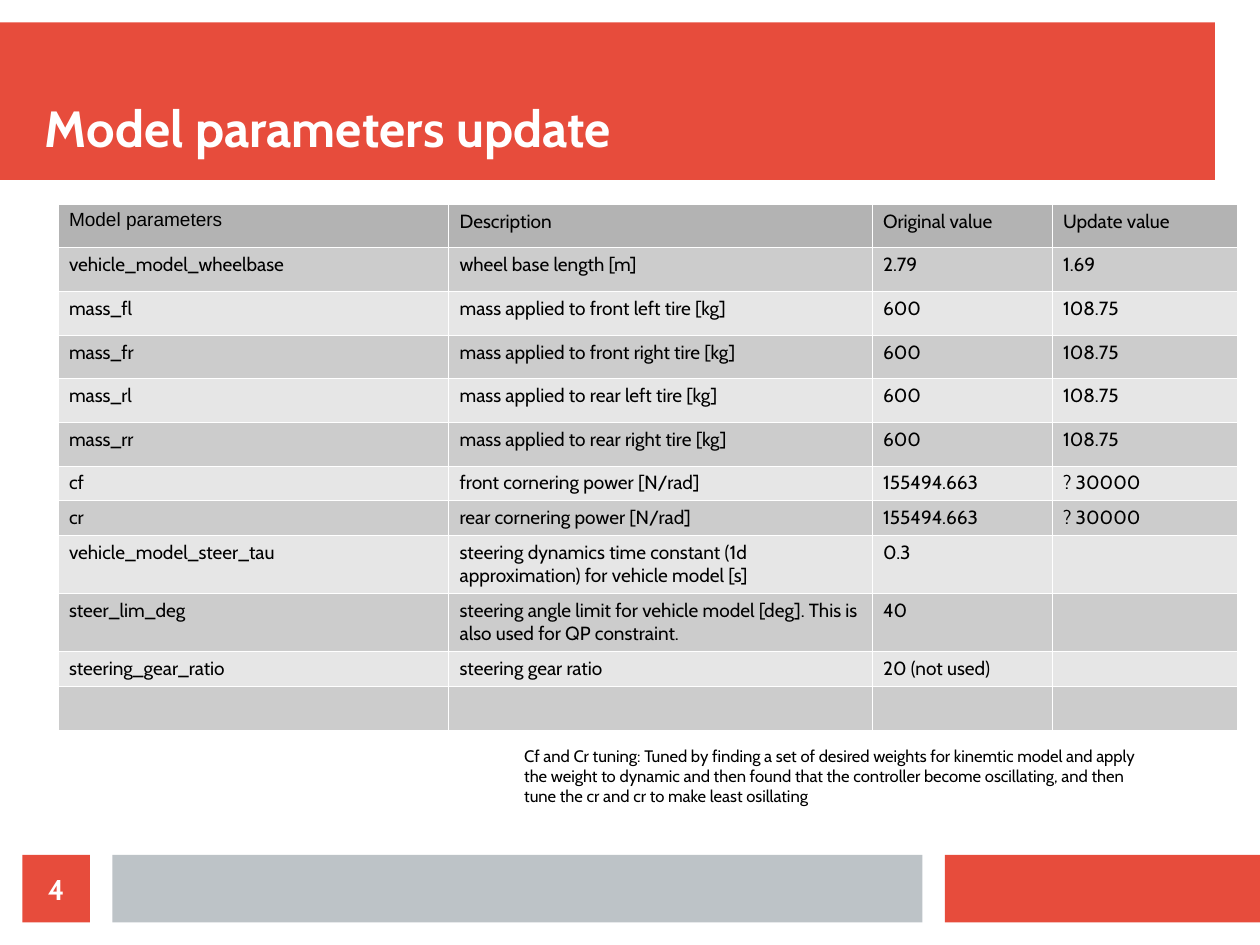
import dataclasses

import lxml.etree
import pptx
import pptx.dml.color
import pptx.enum.shapes
import pptx.enum.text
import pptx.oxml.ns
import pptx.util

Cm = pptx.util.Cm
Pt = pptx.util.Pt
RGBColor = pptx.dml.color.RGBColor
Alignment = pptx.enum.text.PP_ALIGN
Anchor = pptx.enum.text.MSO_ANCHOR
qn = pptx.oxml.ns.qn


@dataclasses.dataclass(frozen=True)
class Theme:
    red: str = "E74C3C"
    grey: str = "BDC3C7"
    header: str = "B3B3B3"
    odd_row: str = "CCCCCC"
    even_row: str = "E6E6E6"
    white: str = "FFFFFF"
    black: str = "000000"
    font: str = "Cabin"
    header_font: str = "Arial"
    title_size: float = 32
    number_size: float = 18
    table_size: float = 12
    note_size: float = 10.5


theme = Theme()


def add_text(paragraph, text, size, color, bold=False, font=theme.font):
    run = paragraph.add_run()
    run.text = text
    run.font.name = font
    run.font.size = Pt(size)
    run.font.bold = bold
    run.font.color.rgb = RGBColor.from_string(color)


def add_bar(left, top, width, height, color):
    bar = slide.shapes.add_shape(
        pptx.enum.shapes.MSO_SHAPE.RECTANGLE, Cm(left), Cm(top), Cm(width), Cm(height)
    )
    bar.shadow.inherit = False
    bar.fill.solid()
    bar.fill.fore_color.rgb = RGBColor.from_string(color)
    bar.line.fill.background()
    return bar


presentation = pptx.Presentation()
presentation.slide_width = Cm(28)
presentation.slide_height = Cm(21)
slide = presentation.slides.add_slide(presentation.slide_layouts[5])

add_bar(0, 0.5, 27, 3.5, theme.red)
add_bar(21, 19, 7, 1.5, theme.red)
add_bar(2.5, 19, 18, 1.5, theme.grey)
number_box = add_bar(0.5, 19, 1.5, 1.5, theme.red)

title = slide.shapes.title
title.left, title.top, title.width, title.height = Cm(1), Cm(1), Cm(26), Cm(2.5)
slide.shapes._spTree.append(title._element)
title.text_frame.auto_size = pptx.enum.text.MSO_AUTO_SIZE.NONE

for shape, anchor, alignment, text, size in [
    (title, Anchor.BOTTOM, Alignment.LEFT, "Model parameters update", theme.title_size),
    (number_box, Anchor.MIDDLE, Alignment.CENTER, "4", theme.number_size),
]:
    frame = shape.text_frame
    frame.margin_left = frame.margin_right = frame.margin_top = frame.margin_bottom = 0
    frame.vertical_anchor = anchor
    frame.paragraphs[0].alignment = alignment
    add_text(frame.paragraphs[0], text, size, theme.white, bold=True)

tall, short, double = 0.97, 0.74, 1.22
parameter_rows = [
    (tall, "Model parameters", "Description", "Original value", "Update value"),
    (tall, "vehicle_model_wheelbase", "wheel base length [m]", "2.79", "1.69"),
    (tall, "mass_fl", "mass applied to front left tire [kg]", "600", "108.75"),
    (tall, "mass_fr", "mass applied to front right tire [kg]", "600", "108.75"),
    (tall, "mass_rl", "mass applied to rear left tire [kg]", "600", "108.75"),
    (tall, "mass_rr", "mass applied to rear right tire [kg]", "600", "108.75"),
    (short, "cf", "front cornering power [N/rad]", "155494.663", "? 30000"),
    (short, "cr", "rear cornering power [N/rad]", "155494.663", "? 30000"),
    (double, "vehicle_model_steer_tau",
     "steering dynamics time constant (1d approximation) for vehicle model [s]", "0.3", ""),
    (double, "steer_lim_deg",
     "steering angle limit for vehicle model [deg]. This is also used for QP constraint.",
     "40", ""),
    (short, "steering_gear_ratio", "steering gear ratio", "20 (not used)", ""),
    (tall, "", "", "", ""),
]
column_widths = [8.68, 9.41, 4, 4.11]

table = slide.shapes.add_table(
    len(parameter_rows), len(column_widths), Cm(1.28), Cm(4.53),
    Cm(sum(column_widths)), Cm(sum(row[0] for row in parameter_rows)),
).table
for column, width in zip(table.columns, column_widths):
    column.width = Cm(width)

for row_index, (height, *texts) in enumerate(parameter_rows):
    table.rows[row_index].height = Cm(height)
    fill_color = theme.odd_row if row_index % 2 else theme.even_row
    if row_index == 0:
        fill_color = theme.header
    for column_index, text in enumerate(texts):
        cell = table.cell(row_index, column_index)
        properties = cell._tc.get_or_add_tcPr()
        for side in ("a:lnL", "a:lnR", "a:lnT", "a:lnB"):
            border = lxml.etree.SubElement(properties, qn(side), w=str(Pt(0.06)))
            border_fill = lxml.etree.SubElement(border, qn("a:solidFill"))
            lxml.etree.SubElement(border_fill, qn("a:srgbClr"), val=theme.white)
        cell.fill.solid()
        cell.fill.fore_color.rgb = RGBColor.from_string(fill_color)
        paragraph = cell.text_frame.paragraphs[0]
        if text:
            font = theme.header_font if row_index == column_index == 0 else theme.font
            add_text(paragraph, text, theme.table_size, theme.black, font=font)
        else:
            lxml.etree.SubElement(
                paragraph._p, qn("a:endParaRPr"), sz=str(theme.table_size * 100)
            )

note = slide.shapes.add_textbox(Cm(11.4), Cm(16.46), Cm(14.6), Cm(1.75))
note.text_frame.word_wrap = True
add_text(
    note.text_frame.paragraphs[0],
    "Cf and Cr tuning: Tuned by finding a set of desired weights for kinemtic model "
    "and apply the weight to dynamic and then found that the controller become "
    "oscillating, and then tune the cr and cr to make least osillating",
    theme.note_size, theme.black,
)

presentation.save("out.pptx")
